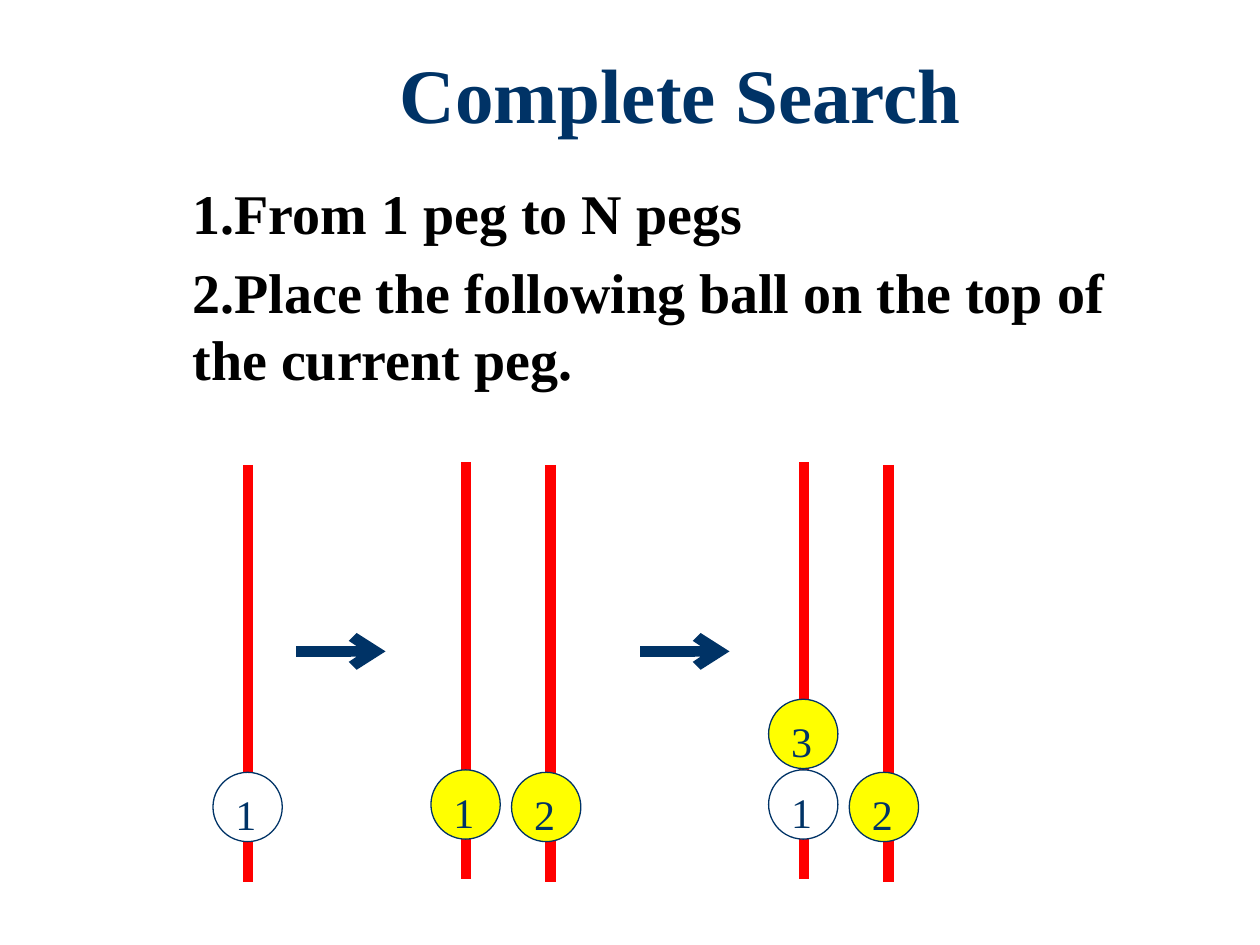
from dataclasses import dataclass

from lxml import etree
from pptx import Presentation
from pptx.dml.color import RGBColor
from pptx.enum.shapes import MSO_CONNECTOR, MSO_SHAPE
from pptx.enum.text import MSO_ANCHOR, PP_ALIGN
from pptx.oxml.ns import qn
from pptx.util import Inches, Pt


@dataclass(frozen=True)
class Theme:
    font: str = "Times New Roman"
    navy: RGBColor = RGBColor(0x00, 0x33, 0x66)
    black: RGBColor = RGBColor(0, 0, 0)
    red: RGBColor = RGBColor(0xFF, 0, 0)
    yellow: RGBColor = RGBColor(0xFF, 0xFF, 0)
    white: RGBColor = RGBColor(0xFF, 0xFF, 0xFF)
    title_size: Pt = Pt(44)
    body_size: Pt = Pt(32)
    ball_size: Pt = Pt(24)
    thick: Pt = Pt(6)
    thin: Pt = Pt(0.75)


THEME = Theme()
PEG_HEIGHT, PEG_PITCH = 3.31, 0.67
BALL_SIZE, BALL_PITCH, BALL_DROP = 0.55, 0.56, 2.44


def style(paragraph, size, color, bold=False):
    font = paragraph.font
    font.name, font.size, font.bold = THEME.font, size, bold
    font.color.rgb = color


def add_text_frame(slide, left, top, width, height):
    box = slide.shapes.add_textbox(
        Inches(left), Inches(top), Inches(width), Inches(height))
    box.text_frame.word_wrap = True
    return box.text_frame


def add_title(slide, left, top, width, height):
    frame = add_text_frame(slide, left, top, width, height)
    frame.vertical_anchor = MSO_ANCHOR.MIDDLE
    frame.margin_bottom = Inches(0.12)
    title = frame.paragraphs[0]
    title.text = "Complete Search"
    title.alignment, title.line_spacing = PP_ALIGN.CENTER, 0.9
    style(title, THEME.title_size, THEME.navy, bold=True)


def add_steps(slide, left, top, width, height):
    frame = add_text_frame(slide, left, top, width, height)
    frame.margin_top = Inches(0.11)
    frame.text = ("1.From 1 peg to N pegs\n"
                  "2.Place the following ball on the top of the current peg.")
    for step in frame.paragraphs:
        style(step, THEME.body_size, THEME.black, bold=True)
    frame.paragraphs[1].space_before = Pt(6.4)


def add_line(slide, start, end, color):
    line = slide.shapes.add_connector(
        MSO_CONNECTOR.STRAIGHT, *(Inches(value) for value in (*start, *end)))
    line.line.color.rgb, line.line.width = color, THEME.thick
    etree.SubElement(line._element.spPr, qn("a:effectLst"))
    return line


def add_arrow(slide, left, y, width=0.71):
    arrow = add_line(slide, (left, y), (left + width, y), THEME.navy)
    etree.SubElement(arrow.line._get_or_add_ln(), qn("a:tailEnd"), type="arrow")


def add_ball(slide, left, top, label, fill):
    ball = slide.shapes.add_shape(
        MSO_SHAPE.OVAL, Inches(left), Inches(top),
        Inches(BALL_SIZE), Inches(BALL_SIZE))
    ball.shadow.inherit = False
    ball.fill.solid()
    ball.fill.fore_color.rgb = fill
    ball.line.color.rgb, ball.line.width = THEME.navy, THEME.thin
    frame = ball.text_frame
    frame.word_wrap, frame.vertical_anchor = False, MSO_ANCHOR.TOP
    number = frame.paragraphs[0]
    number.text, number.alignment = label, PP_ALIGN.LEFT
    style(number, THEME.ball_size, THEME.navy)


def add_peg(slide, x, top, balls, ball_shift):
    """Draw a peg and stack (label, fill) balls on it from the bottom up."""
    add_line(slide, (x, top), (x, top + PEG_HEIGHT), THEME.red)
    for level, (label, fill) in enumerate(balls):
        add_ball(slide, x - ball_shift, top + BALL_DROP - level * BALL_PITCH,
                 label, fill)


def add_two_pegs(slide, left, top, first_balls):
    add_peg(slide, left + PEG_PITCH, top + 0.02, [("2", THEME.yellow)], 0.31)
    add_peg(slide, left, top, first_balls, 0.28)


def main():
    prs = Presentation()
    prs.slide_width, prs.slide_height = Inches(10), Inches(7.5)
    slide = prs.slides.add_slide(prs.slide_layouts[6])
    add_title(slide, 1.4, 0.36, 8, 0.92)
    add_steps(slide, 1.43, 1.31, 8, 1.97)
    add_peg(slide, 1.97, 3.69, [("1", THEME.white)], 0.28)
    add_arrow(slide, 2.35, 5.17)
    add_two_pegs(slide, 3.7, 3.67, [("1", THEME.yellow)])
    add_arrow(slide, 5.08, 5.17)
    add_two_pegs(slide, 6.38, 3.67, [("1", THEME.white), ("3", THEME.yellow)])
    prs.save("out.pptx")


if __name__ == "__main__":
    main()
